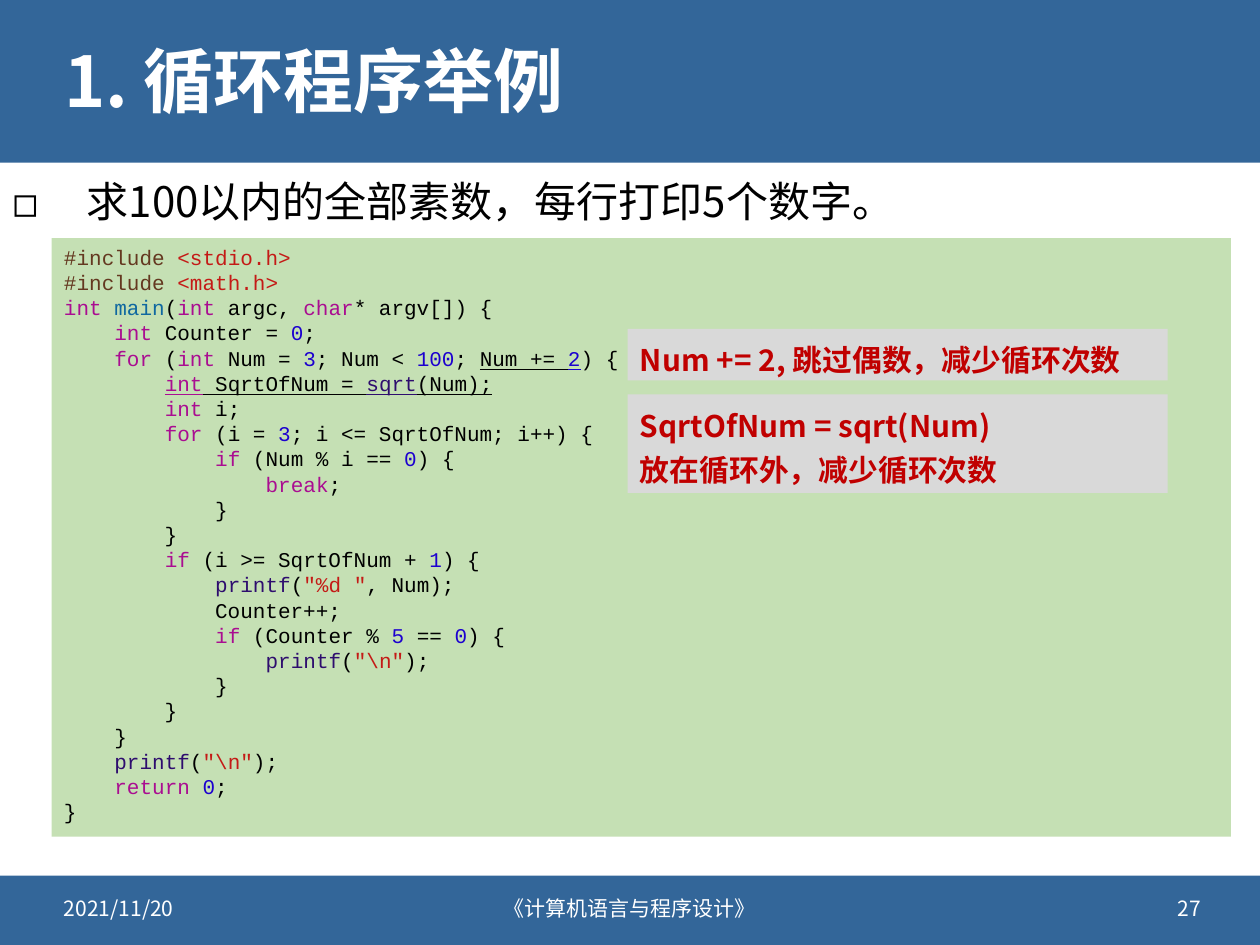
from dataclasses import dataclass
from itertools import groupby
from typing import Iterator, Optional

from lxml.etree import SubElement
from pptx import Presentation
from pptx.dml.color import RGBColor
from pptx.enum.shapes import MSO_SHAPE as Preset
from pptx.enum.text import MSO_ANCHOR as Anchor, PP_ALIGN as Align
from pptx.oxml.ns import qn
from pptx.util import Pt

SANS, MONO = "Noto Sans CJK SC", "Courier New"
BLUE, GREEN, GREY = "336699", "C5E0B4", "D9D9D9"
WHITE, BLACK, RED = "FFFFFF", "000000", "C00000"

# Syntax colours
KEYWORD, NUMBER, STRING = "AA0D91", "1C00CF", "C41A16"
DIRECTIVE, FUNCTION = "643820", "2E0D6E"
WORD_COLORS = {
    **dict.fromkeys(("int", "char", "for", "if", "break", "return"), KEYWORD),
    **dict.fromkeys(("printf", "sqrt"), FUNCTION),
    "main": "0F68A0",
}
UNDERLINED = ("Num += 2", "int SqrtOfNum = sqrt(Num);")

CODE = r"""#include <stdio.h>
#include <math.h>
int main(int argc, char* argv[]) {
    int Counter = 0;
    for (int Num = 3; Num < 100; Num += 2) {
        int SqrtOfNum = sqrt(Num);
        int i;
        for (i = 3; i <= SqrtOfNum; i++) {
            if (Num % i == 0) {
                break;
            }
        }
        if (i >= SqrtOfNum + 1) {
            printf("%d ", Num);
            Counter++;
            if (Counter % 5 == 0) {
                printf("\n");
            }
        }
    }
    printf("\n");
    return 0;
}"""


@dataclass
class Box:
    left: float
    top: float
    width: float
    height: float
    text: str = ""
    size: float = 12
    color: str = WHITE
    bold: bool = False
    fill: Optional[str] = None
    align: Align = Align.LEFT
    anchor: Anchor = Anchor.MIDDLE
    line_spacing: float = 1.0
    space_before: float = 0
    hanging: float = 0
    bullet: str = ""


BANDS = [
    Box(0, 0, 720, 92.9, fill=BLUE),
    Box(0, 500.4, 720, 39.6, fill=BLUE),
]
TEXTS = [
    Box(0, 93.6, 661.7, 39.6, "求100以内的全部素数，每行打印5个数字。", 24, BLACK,
        anchor=Anchor.TOP, line_spacing=1.1, hanging=42.5, bullet="◻"),
    Box(29.5, 13, 661.7, 71.3, "1. 循环程序举例", 40, bold=True, line_spacing=0.9),
    Box(29.5, 504.7, 172.8, 28.8, "2021/11/20"),
    Box(230.4, 504.7, 259.2, 28.8, "《计算机语言与程序设计》", align=Align.CENTER),
    Box(520.6, 504.7, 172.8, 28.8, "27", align=Align.RIGHT),
]
LISTING = Box(29.5, 136.1, 673.9, 342, fill=GREEN, anchor=Anchor.TOP)
NOTES = [
    Box(358.6, top, 308.6, height, text, 17, RED, True, GREY, anchor=Anchor.TOP,
        line_spacing=1.2, space_before=0.85, hanging=36.7)
    for top, height, text in (
        (187.9, 29.5, "Num += 2, 跳过偶数，减少循环次数"),
        (225.4, 56.2, "SqrtOfNum = sqrt(Num)\n放在循环外，减少循环次数"),
    )
]


def rgb(color: str) -> RGBColor:
    return RGBColor.from_string(color)


def style_run(run, font_name: str, size: float, color: str, bold: bool = False) -> None:
    run.font.name, run.font.size, run.font.bold = font_name, Pt(size), bold
    run.font.color.rgb = rgb(color)
    SubElement(run.font._element, qn("a:ea"), typeface=font_name)


def style_paragraph(paragraph, box: Box, first: bool) -> None:
    paragraph.alignment = box.align
    paragraph.line_spacing = box.line_spacing
    paragraph.space_before = Pt(0 if first else box.space_before)
    properties = paragraph._p.get_or_add_pPr()
    if box.hanging:
        properties.set("marL", str(Pt(box.hanging)))
        properties.set("indent", str(-Pt(box.hanging)))
    if box.bullet:
        bullet_color = SubElement(properties, qn("a:buClr"))
        SubElement(bullet_color, qn("a:srgbClr"), val=BLACK)
        SubElement(properties, qn("a:buFont"), typeface=SANS)
        SubElement(properties, qn("a:buChar"), char=box.bullet)


def add_box(slide, box: Box):
    frame = [Pt(value) for value in (box.left, box.top, box.width, box.height)]
    if box.fill:
        shape = slide.shapes.add_shape(Preset.RECTANGLE, *frame)
        shape.shadow.inherit = False
        shape.fill.solid()
        shape.fill.fore_color.rgb = rgb(box.fill)
        shape.line.fill.background()
    else:
        shape = slide.shapes.add_textbox(*frame)
    text_frame = shape.text_frame
    text_frame.word_wrap = True
    text_frame.vertical_anchor = box.anchor
    if box.text:
        text_frame.text = box.text
        for index, paragraph in enumerate(text_frame.paragraphs):
            style_paragraph(paragraph, box, index == 0)
            for run in paragraph.runs:
                style_run(run, SANS, box.size, box.color, box.bold)
    return shape


def word_color(word: str) -> str:
    return NUMBER if word.isdigit() else WORD_COLORS.get(word, BLACK)


def highlight(code: str) -> Iterator[tuple[str, str]]:
    """Yield (text, colour) pieces of one stretch of code."""
    if code.startswith("#"):
        directive, bracket, header = code.partition("<")
        yield directive, DIRECTIVE
        yield bracket + header, STRING
        return
    for index, part in enumerate(code.split('"')):
        if index % 2:
            yield f'"{part}"', STRING
            continue
        words = ("".join(letters) for _, letters in groupby(part, str.isalnum))
        for color, same in groupby(words, word_color):
            yield "".join(same), color


def add_listing(slide, box: Box, code: str) -> None:
    text_frame = add_box(slide, box).text_frame
    for index, line in enumerate(code.split("\n")):
        paragraph = text_frame.add_paragraph() if index else text_frame.paragraphs[0]
        style_paragraph(paragraph, box, index == 0)
        phrase = next((item for item in UNDERLINED if item in line), "")
        stretches = line.partition(phrase) if phrase else (line,)
        for position, stretch in enumerate(stretches):
            for text, color in highlight(stretch):
                run = paragraph.add_run()
                run.text = text
                style_run(run, MONO, box.size, color)
                run.font.underline = position == 1


def main() -> None:
    presentation = Presentation()
    presentation.slide_width, presentation.slide_height = Pt(720), Pt(540)
    slide = presentation.slides.add_slide(presentation.slide_layouts[6])

    # Bands, title, task and footer
    for box in BANDS + TEXTS:
        add_box(slide, box)

    # Program and the notes over it
    add_listing(slide, LISTING, CODE)
    for note in NOTES:
        add_box(slide, note)

    presentation.save("out.pptx")


if __name__ == "__main__":
    main()
